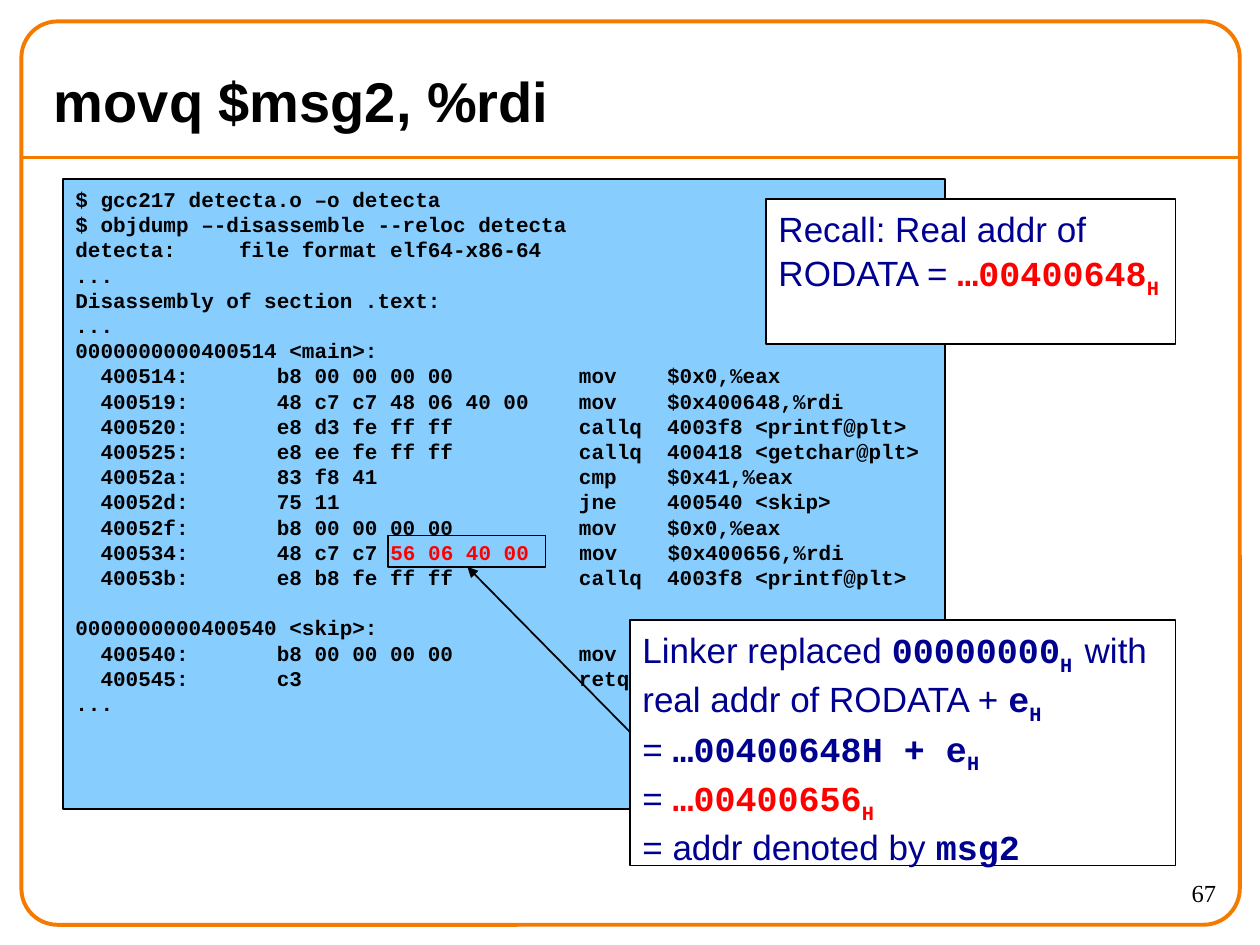
from pptx import Presentation
from pptx.dml.color import RGBColor
from pptx.enum.shapes import MSO_CONNECTOR, MSO_SHAPE
from pptx.enum.text import MSO_ANCHOR, PP_ALIGN
from pptx.oxml.ns import qn
from pptx.util import Inches, Pt
from lxml import etree

RECTANGLE = MSO_SHAPE.RECTANGLE
ROUNDED = MSO_SHAPE.ROUNDED_RECTANGLE
STRAIGHT = MSO_CONNECTOR.STRAIGHT
TOP, MIDDLE = MSO_ANCHOR.TOP, MSO_ANCHOR.MIDDLE
LEFT, RIGHT = PP_ALIGN.LEFT, PP_ALIGN.RIGHT

COLORS = {
    "orange": "F47A00",
    "sky": "87CEFF",
    "black": "000000",
    "white": "FFFFFF",
    "navy": "000090",
    "red": "FF0000",
}
SANS, MONO, SERIF = "Arial", "Courier New", "Times New Roman"

STYLES = {
    "title": (SANS, 32, True, "black"),
    "number": (SERIF, 14, False, "black"),
    "code": (MONO, 12, True, "black"),
    "patched": (MONO, 12, True, "red"),
    "note": (SANS, 20, False, "navy"),
    "value": (MONO, 20, True, "navy"),
    "result": (MONO, 20, True, "red"),
}
SUBSCRIPT = "-25000"
CODE_PITCH = Pt(14.4)

LISTING_HEAD = """$ gcc217 detecta.o –o detecta
$ objdump –-disassemble --reloc detecta
detecta:     file format elf64-x86-64
...
Disassembly of section .text:
...
0000000000400514 <main>:
  400514:       b8 00 00 00 00          mov    $0x0,%eax
  400519:       48 c7 c7 48 06 40 00    mov    $0x400648,%rdi
  400520:       e8 d3 fe ff ff          callq  4003f8 <printf@plt>
  400525:       e8 ee fe ff ff          callq  400418 <getchar@plt>
  40052a:       83 f8 41                cmp    $0x41,%eax
  40052d:       75 11                   jne    400540 <skip>
  40052f:       b8 00 00 00 00          mov    $0x0,%eax"""
PATCHED_LINE = [
    ("  400534:       48 c7 c7 ", "code"),
    ("56 06 40 00    ", "patched"),
    ("mov    $0x400656,%rdi", "code"),
]
LISTING_TAIL = "  40053b:       e8 b8 fe ff ff          callq  4003f8 <printf@plt>"
SKIP_SECTION = """0000000000400540 <skip>:
  400540:       b8 00 00 00 00          mov    $0x0,%eax
  400545:       c3                      retq
..."""

RECALL_NOTE = [
    [("Recall: Real addr of", "note")],
    [("RODATA = ", "note"), ("…00400648", "result"), ("H", "result", SUBSCRIPT)],
]
LINKER_NOTE = [
    [("Linker replaced ", "note"), ("00000000", "value"),
     ("H ", "value", SUBSCRIPT), ("with", "note")],
    [("real addr of RODATA + ", "note"), ("e", "value"), ("H", "value", SUBSCRIPT)],
    [("= ", "note"), ("…00400648H + e", "value"), ("H", "value", SUBSCRIPT)],
    [("= ", "note"), ("…00400656", "result"), ("H", "result", SUBSCRIPT)],
    [("= addr denoted by ", "note"), ("msg2", "value")],
]


def color(name):
    """Return the named colour."""
    return RGBColor.from_string(COLORS[name])


def add_span(para, text, style, baseline=None):
    """Append a styled run to a paragraph."""
    span = para.add_run()
    span.text = text
    font_name, size, bold, tint = STYLES[style]
    span.font.name = font_name
    span.font.size = Pt(size)
    span.font.bold = bold
    span.font.color.rgb = color(tint)
    if baseline:
        span.font._element.set("baseline", baseline)


def fill_text(shape, lines, anchor=TOP, align=LEFT, top_inset=0.05):
    """Write lines of spans into a shape and return the paragraphs."""
    frame = shape.text_frame
    frame.word_wrap = True
    frame.vertical_anchor = anchor
    frame.margin_left = frame.margin_right = Inches(0.1)
    frame.margin_top, frame.margin_bottom = Inches(top_inset), Inches(0.05)
    for index, spans in enumerate(lines):
        para = frame.add_paragraph() if index else frame.paragraphs[0]
        para.alignment = align
        for span in spans:
            add_span(para, *span)
    return frame.paragraphs


def add_panel(page, box, fill=None, line="black", width=1, kind=RECTANGLE):
    """Add an outlined shape with an optional fill."""
    panel = page.shapes.add_shape(kind, *map(Inches, box))
    panel.shadow.inherit = False
    if fill:
        panel.fill.solid()
        panel.fill.fore_color.rgb = color(fill)
    else:
        panel.fill.background()
    panel.line.color.rgb = color(line)
    panel.line.width = Pt(width)
    return panel


def add_line(page, start, end, tint, width, arrow=False):
    """Add a straight line, with an arrowhead at its end if asked."""
    line = page.shapes.add_connector(STRAIGHT, *map(Inches, start + end))
    line.line.color.rgb = color(tint)
    line.line.width = Pt(width)
    if arrow:
        etree.SubElement(line.line._get_or_add_ln(), qn("a:tailEnd"), type="triangle")
    etree.SubElement(line._element.spPr, qn("a:effectLst"))


def add_frame(page, box, rule_top):
    """Draw the rounded slide border and the rule below the title."""
    left, _, width, _ = box
    add_line(page, (left, rule_top), (left + width, rule_top), "orange", 2.25)
    border = add_panel(page, box, line="orange", width=2.25, kind=ROUNDED)
    border.adjustments[0] = 0.04


def add_label(page, box, text, style, anchor=TOP, align=LEFT):
    """Add a one-line text box."""
    label = page.shapes.add_textbox(*map(Inches, box))
    fill_text(label, [[(text, style)]], anchor, align)


def add_listing(page, box):
    """Add the disassembly panel."""
    before = [[(text, "code")] for text in LISTING_HEAD.splitlines()]
    before += [PATCHED_LINE, [(LISTING_TAIL, "code")]]
    after = [[(text, "code")] for text in SKIP_SECTION.splitlines()]
    paras = fill_text(add_panel(page, box, "sky"), before + after, top_inset=0.06)
    for para in paras:
        para.line_spacing = CODE_PITCH
    paras[len(before)].space_before = CODE_PITCH


def add_callout(page, box, lines):
    """Add a white explanatory note."""
    paras = fill_text(add_panel(page, box, "white"), lines, top_inset=0.07)
    for para in paras[1:]:
        para.space_before = Pt(0.8)


def main():
    """Build the slide and save the deck."""
    deck = Presentation()
    deck.slide_width, deck.slide_height = Inches(10), Inches(7.5)
    page = deck.slides.add_slide(deck.slide_layouts[6])
    add_frame(page, (0.17, 0.17, 9.67, 7.17), 1.25)
    add_listing(page, (0.5, 1.42, 7, 5))
    add_label(page, (8.75, 6.92, 1, 0.42), "67", "number", align=RIGHT)
    add_label(page, (0.33, 0.42, 9.33, 0.75), "movq $msg2, %rdi", "title", MIDDLE)
    add_panel(page, (3.08, 4.25, 1.25, 0.25))
    add_line(page, (5, 5.81), (3.71, 4.5), "black", 1, arrow=True)
    add_callout(page, (6.08, 1.58, 3.25, 1.15), RECALL_NOTE)
    add_callout(page, (5, 4.92, 4.33, 1.95), LINKER_NOTE)
    deck.save("out.pptx")


if __name__ == "__main__":
    main()
